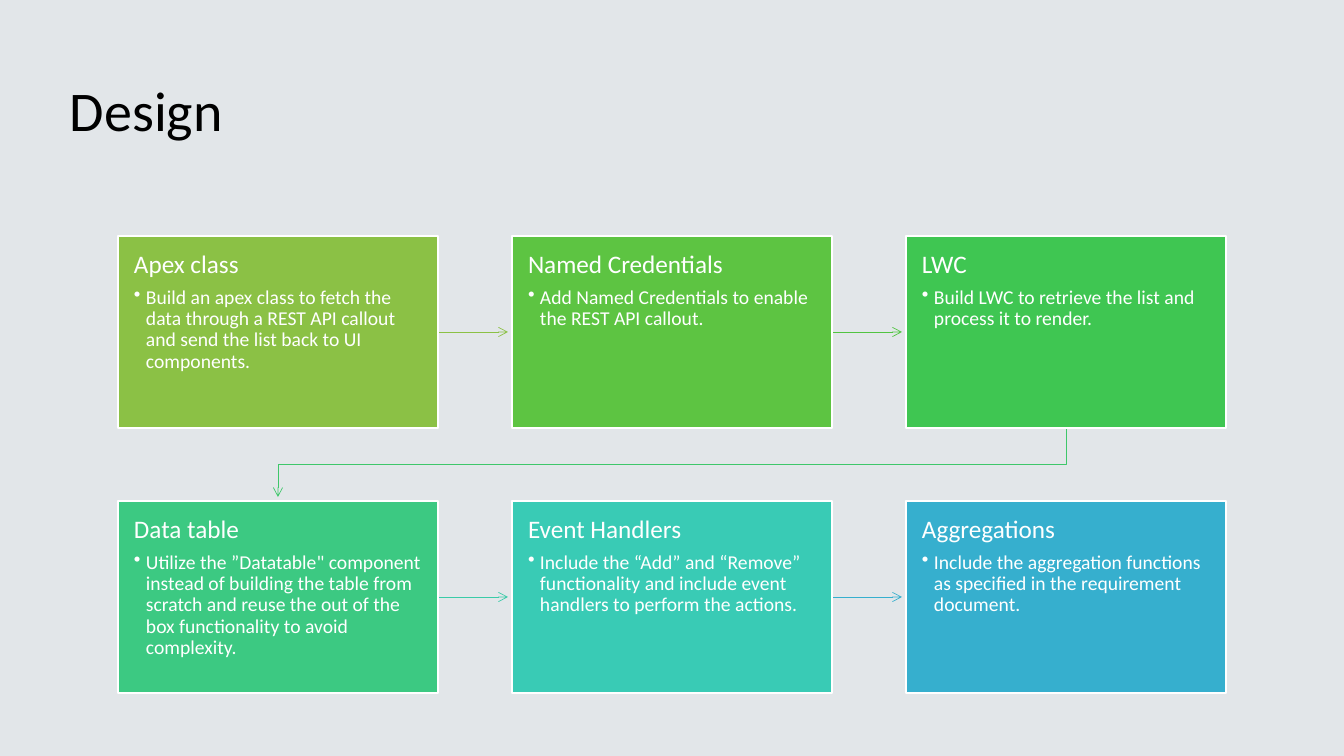
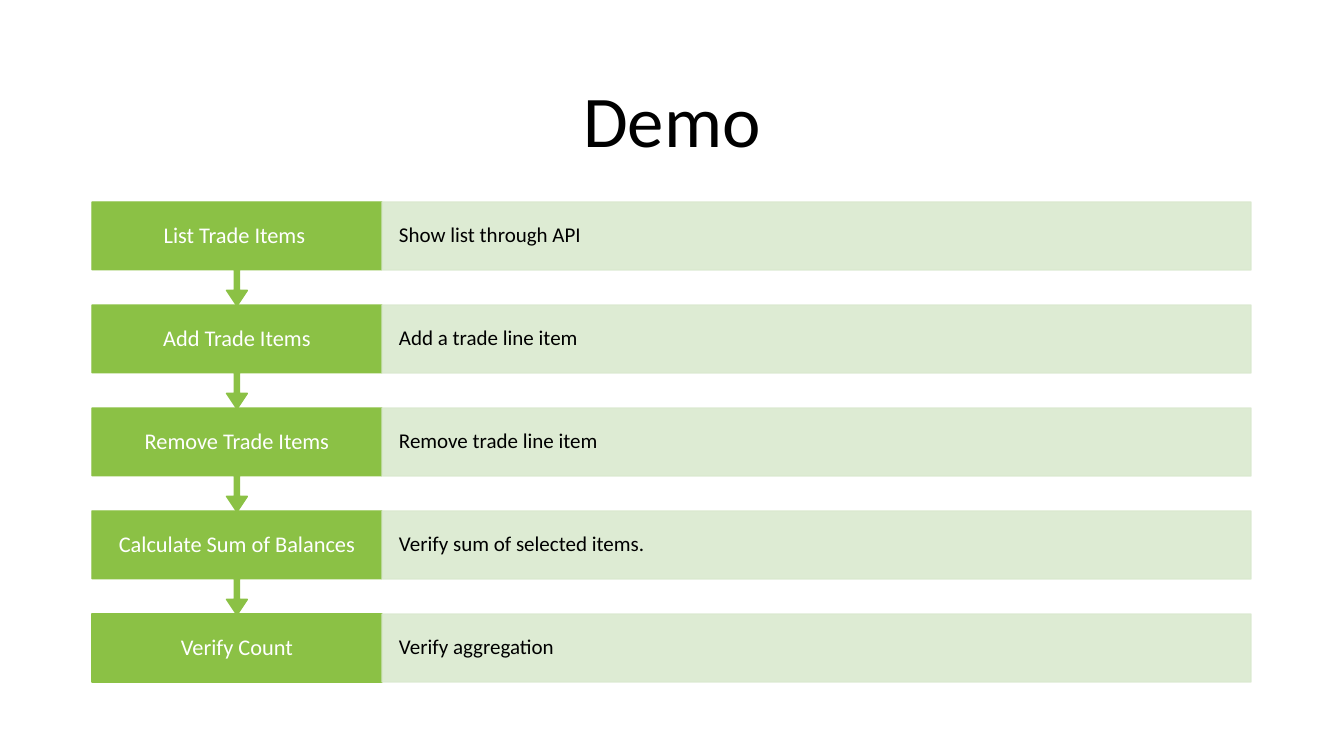
import dataclasses
import itertools
import typing

import lxml.etree
import pptx
import pptx.dml.color
import pptx.enum.shapes
import pptx.enum.text
import pptx.oxml.ns
import pptx.presentation
import pptx.slide
import pptx.util

SLIDE_WIDTH, SLIDE_HEIGHT = 1344, 756
EMU_PER_PX = 12192000 / SLIDE_WIDTH
FONT = "Calibri"
WHITE, BLACK, MIST = "FFFFFF", "000000", "E2E6E9"
GREEN, PALE_GREEN = "8BC145", "DAE9CF"
SHAPES = pptx.enum.shapes.MSO_SHAPE
LEFT, CENTER = pptx.enum.text.PP_ALIGN.LEFT, pptx.enum.text.PP_ALIGN.CENTER
TOP, MIDDLE = pptx.enum.text.MSO_ANCHOR.TOP, pptx.enum.text.MSO_ANCHOR.MIDDLE

CARD_LEFT, CARD_TOP, CARD_WIDTH, CARD_HEIGHT = 118, 236, 320, 192
CARD_PITCH_X, CARD_PITCH_Y, CARD_COLUMNS = 394, 265, 3
ARROW_GAP = 4
STEP_LEFT, STEP_TOP, STEP_PITCH, STEP_HEIGHT = 92, 202, 103, 68
LABEL_WIDTH, BAR_WIDTH, CALLOUT_HEIGHT = 290, 869, 104
CALLOUT_ADJUSTMENTS = (0.05, 0.1, 0.15, 0.65)


class Area(typing.NamedTuple):
    left: int
    top: int
    width: int
    height: int


@dataclasses.dataclass(frozen=True)
class TextStyle:
    size: int
    color: str
    align: pptx.enum.text.PP_ALIGN = LEFT
    space_after: int = 0
    bullet: bool = False


@dataclasses.dataclass(frozen=True)
class Card:
    heading: str
    detail: str
    fill: str
    arrow: str | None = None


@dataclasses.dataclass(frozen=True)
class Step:
    label: str
    detail: str


HEADING = TextStyle(18, WHITE, space_after=6)
BULLET = TextStyle(14, WHITE, bullet=True)
LABEL = TextStyle(16, WHITE, CENTER)
DETAIL = TextStyle(15, BLACK)

CARDS = (
    Card("Apex class", "Build an apex class to fetch the data through a REST API callout and send "
         "the list back to UI components.", GREEN, GREEN),
    Card("Named Credentials", "Add Named Credentials to enable the REST API callout.",
         "5DC442", "51C441"),
    Card("LWC", "Build LWC to retrieve the list and process it to render.", "3FC652", "3EC76A"),
    Card("Data table", "Utilize the ”Datatable\" component instead of building the table from "
         "scratch and reuse the out of the box functionality to avoid complexity.",
         "3CC982", "3ACBA8"),
    Card("Event Handlers", "Include the “Add” and “Remove” functionality and include event "
         "handlers to perform the actions.", "39CBB5", "36AFCE"),
    Card("Aggregations", "Include the aggregation functions as specified in the requirement "
         "document.", "36AFCE"),
)
STEPS = (
    Step("List Trade Items ", "Show list through API"),
    Step("Add Trade Items", "Add a trade line item"),
    Step("Remove Trade Items", "Remove trade line item"),
    Step("Calculate Sum of Balances", "Verify sum of selected items."),
    Step("Verify Count", "Verify aggregation"),
)


def px(length: int) -> pptx.util.Emu:
    return pptx.util.Emu(round(length * EMU_PER_PX))


def rgb(color: str) -> pptx.dml.color.RGBColor:
    return pptx.dml.color.RGBColor.from_string(color)


def apply(target: typing.Any, values: dict[str, typing.Any]) -> None:
    for name, value in values.items():
        setattr(target, name, value)


def add_child(parent: typing.Any, tag: str, **attributes: str) -> None:
    lxml.etree.SubElement(parent, pptx.oxml.ns.qn(tag), attributes)


def write(box: typing.Any, lines: list[tuple[str, TextStyle]], anchor: typing.Any,
          inset_x: int, inset_y: int) -> None:
    frame = box.text_frame
    apply(frame, {
        "word_wrap": True, "vertical_anchor": anchor,
        "margin_left": px(inset_x), "margin_right": px(inset_x),
        "margin_top": px(inset_y), "margin_bottom": px(inset_y),
    })
    for index, (text, style) in enumerate(lines):
        para = frame.add_paragraph() if index else frame.paragraphs[0]
        apply(para, {"alignment": style.align, "line_spacing": 0.9,
                     "space_after": pptx.util.Pt(style.space_after)})
        if style.bullet:
            properties = para._p.get_or_add_pPr()
            properties.set("marL", str(px(12)))
            properties.set("indent", str(px(-12)))
            add_child(properties, "a:buChar", char="•")
        span = para.add_run()
        span.text = text
        apply(span.font, {"name": FONT, "size": pptx.util.Pt(style.size)})
        span.font.color.rgb = rgb(style.color)


def add_title(page: pptx.slide.Slide, text: str, area: Area, style: TextStyle) -> None:
    box = page.shapes.add_textbox(*map(px, area))
    write(box, [(text, style)], MIDDLE, 10, 5)


def add_box(page: pptx.slide.Slide, area: Area, fill: str, line: str,
            kind: pptx.enum.shapes.MSO_SHAPE = SHAPES.RECTANGLE,
            opacity: int = 100) -> typing.Any:
    box = page.shapes.add_shape(kind, *map(px, area))
    box.shadow.inherit = False
    box.fill.solid()
    box.fill.fore_color.rgb = rgb(fill)
    box.line.color.rgb = rgb(line)
    box.line.width = pptx.util.Pt(1)
    if opacity < 100:
        for color in box._element.spPr.iter(pptx.oxml.ns.qn("a:srgbClr")):
            add_child(color, "a:alpha", val=str(opacity * 1000))
    return box


def add_arrow(page: pptx.slide.Slide, points: list[tuple[int, int]], color: str) -> None:
    ends = [(px(x), px(y)) for x, y in points]
    if len(ends) == 2:
        arrow = page.shapes.add_connector(
            pptx.enum.shapes.MSO_CONNECTOR.STRAIGHT, *ends[0], *ends[1])
    else:
        builder = page.shapes.build_freeform(*ends[0])
        arrow = builder.add_line_segments(ends[1:], close=False).convert_to_shape()
        arrow.fill.background()
    arrow.line.color.rgb = rgb(color)
    arrow.line.width = pptx.util.Pt(0.5)
    add_child(arrow.line._get_or_add_ln(), "a:tailEnd", type="arrow")
    add_child(arrow._element.spPr, "a:effectLst")


def card_area(index: int) -> Area:
    row, column = divmod(index, CARD_COLUMNS)
    return Area(CARD_LEFT + column * CARD_PITCH_X, CARD_TOP + row * CARD_PITCH_Y,
                CARD_WIDTH, CARD_HEIGHT)


def arrow_points(start: Area, end: Area) -> list[tuple[int, int]]:
    if start.top == end.top:
        middle = start.top + start.height // 2
        return [(start.left + start.width, middle), (end.left - ARROW_GAP, middle)]
    start_x, end_x = start.left + start.width // 2, end.left + end.width // 2
    bottom = start.top + start.height
    bend = (bottom + end.top) // 2
    return [(start_x, bottom), (start_x, bend), (end_x, bend), (end_x, end.top - ARROW_GAP)]


def build_design(page: pptx.slide.Slide) -> None:
    page.background.fill.solid()
    page.background.fill.fore_color.rgb = rgb(MIST)
    add_title(page, "Design", Area(60, 40, 1223, 146), TextStyle(40, BLACK))
    areas = [card_area(index) for index in range(len(CARDS))]
    for card, (start, end) in zip(CARDS, itertools.pairwise(areas)):
        add_arrow(page, arrow_points(start, end), card.arrow)
    for card, area in zip(CARDS, areas):
        box = add_box(page, area, card.fill, WHITE)
        write(box, [(card.heading, HEADING), (card.detail, BULLET)], TOP, 16, 16)


def build_demo(page: pptx.slide.Slide) -> None:
    add_title(page, "Demo", Area(92, 61, 1160, 125), TextStyle(52, BLACK, CENTER))
    for index, step in reversed(list(enumerate(STEPS))):
        top = STEP_TOP + index * STEP_PITCH
        is_last = index == len(STEPS) - 1
        height = STEP_HEIGHT if is_last else CALLOUT_HEIGHT
        kind = SHAPES.RECTANGLE if is_last else SHAPES.DOWN_ARROW_CALLOUT
        label = add_box(page, Area(STEP_LEFT, top, LABEL_WIDTH, height), GREEN, GREEN, kind)
        if not is_last:
            for position, value in enumerate(CALLOUT_ADJUSTMENTS):
                label.adjustments[position] = value
        write(label, [(step.label, LABEL)], MIDDLE, 20, 12)
        bar = add_box(page, Area(STEP_LEFT + LABEL_WIDTH, top, BAR_WIDTH, STEP_HEIGHT),
                      PALE_GREEN, PALE_GREEN, opacity=90)
        write(bar, [(step.detail, DETAIL)], MIDDLE, 17, 12)


def main() -> None:
    deck = pptx.Presentation()
    apply(deck, {"slide_width": px(SLIDE_WIDTH), "slide_height": px(SLIDE_HEIGHT)})
    for build in (build_design, build_demo):
        build(deck.slides.add_slide(deck.slide_layouts[6]))
    deck.save("out.pptx")


if __name__ == "__main__":
    main()
